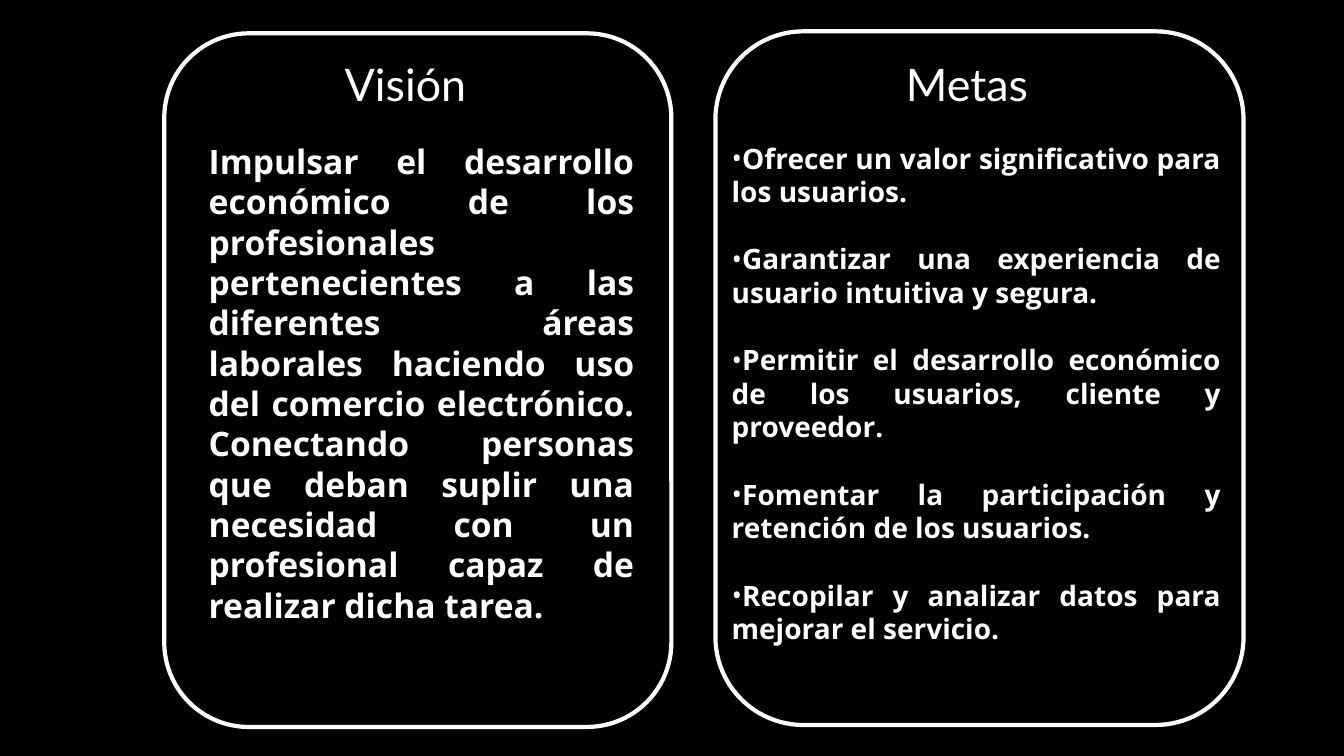
from lxml import etree
from pptx import Presentation
from pptx.dml.color import RGBColor
from pptx.enum.shapes import MSO_SHAPE
from pptx.enum.text import MSO_ANCHOR, MSO_AUTO_SIZE, PP_ALIGN
from pptx.oxml.ns import qn
from pptx.util import Cm, Pt

ROUNDED = MSO_SHAPE.ROUNDED_RECTANGLE
TOP = MSO_ANCHOR.TOP
NO_AUTOFIT = MSO_AUTO_SIZE.NONE
LEFT, JUSTIFY = PP_ALIGN.LEFT, PP_ALIGN.JUSTIFY

BLACK, WHITE = "000000", "FFFFFF"
HEADING_FONT, BODY_FONT = "Lato", "Open Sans"
HEADING_TOP, BODY_TOP = 1.3, 3.43

VISION = (
    "Impulsar el desarrollo económico de los profesionales pertenecientes a las "
    "diferentes áreas laborales haciendo uso del comercio electrónico. Conectando "
    "personas que deban suplir una necesidad con un profesional capaz de realizar "
    "dicha tarea."
)
GOALS = [
    "Ofrecer un valor significativo para los usuarios.",
    "Garantizar una experiencia de usuario intuitiva y segura.",
    "Permitir el desarrollo económico de los usuarios, cliente y proveedor.",
    "Fomentar la participación y retención de los usuarios.",
    "Recopilar y analizar datos para mejorar el servicio.",
]


def color(hex_value):
    return RGBColor.from_string(hex_value)


def place(shape, left, top, width, height):
    shape.left, shape.top = Cm(left), Cm(top)
    shape.width, shape.height = Cm(width), Cm(height)


def write(shape, paragraphs, *, size, font, bold=False, align=LEFT,
          indent=0, bullet=None, gap=0):
    frame = shape.text_frame
    frame.auto_size = NO_AUTOFIT
    frame.word_wrap = True
    frame.vertical_anchor = TOP
    for index, text in enumerate(paragraphs):
        paragraph = frame.add_paragraph() if index else frame.paragraphs[0]
        properties = paragraph._p.get_or_add_pPr()
        properties.set("marL", str(Cm(indent)))
        properties.set("indent", "0")
        if bullet:
            etree.SubElement(properties, qn("a:buFont")).set("typeface", font)
            etree.SubElement(properties, qn("a:buChar")).set("char", bullet)
        paragraph.alignment = align
        if index:
            paragraph.space_before = Pt(gap)
        run = paragraph.add_run()
        run.text = text
        run.font.size = Pt(size)
        run.font.name = font
        run.font.bold = bold
        run.font.color.rgb = color(WHITE)


def add_card(slide, box, heading, heading_offset, paragraphs, body_offset,
             body_size, heading_shape=None, **body_format):
    left, top, width, height = box

    # Rounded outline
    outline = slide.shapes.add_shape(ROUNDED, Cm(left), Cm(top), Cm(width), Cm(height))
    outline.shadow.inherit = False
    outline.fill.background()
    outline.line.color.rgb = color(WHITE)
    outline.line.width = Pt(3)

    # Heading
    if heading_shape is None:
        heading_shape = slide.shapes.add_textbox(0, 0, 0, 0)
    place(heading_shape, left + heading_offset, HEADING_TOP, 4.2, 1.63)
    write(heading_shape, [heading], size=32, font=HEADING_FONT)

    # Body text
    body = slide.shapes.add_textbox(0, 0, 0, 0)
    place(body, left + body_offset, BODY_TOP, *body_size)
    write(body, paragraphs, font=BODY_FONT, bold=True, align=JUSTIFY, **body_format)


def main():
    deck = Presentation()
    deck.slide_width, deck.slide_height = Cm(33.87), Cm(19.05)
    slide = deck.slides.add_slide(deck.slide_layouts[5])
    slide.background.fill.solid()
    slide.background.fill.fore_color.rgb = color(BLACK)

    # Vision on the left, goals on the right
    add_card(slide, (4.14, 0.84, 12.78, 17.48), "Visión", 4.29, [VISION], 0.51,
             (11.58, 12.57), heading_shape=slide.shapes.title, size=24, indent=0.36)
    add_card(slide, (18.03, 0.79, 13.31, 17.48), "Metas", 4.55, GOALS, 0.16,
             (12.83, 14.27), size=20, bullet="•", gap=24)

    deck.save("out.pptx")


if __name__ == "__main__":
    main()
